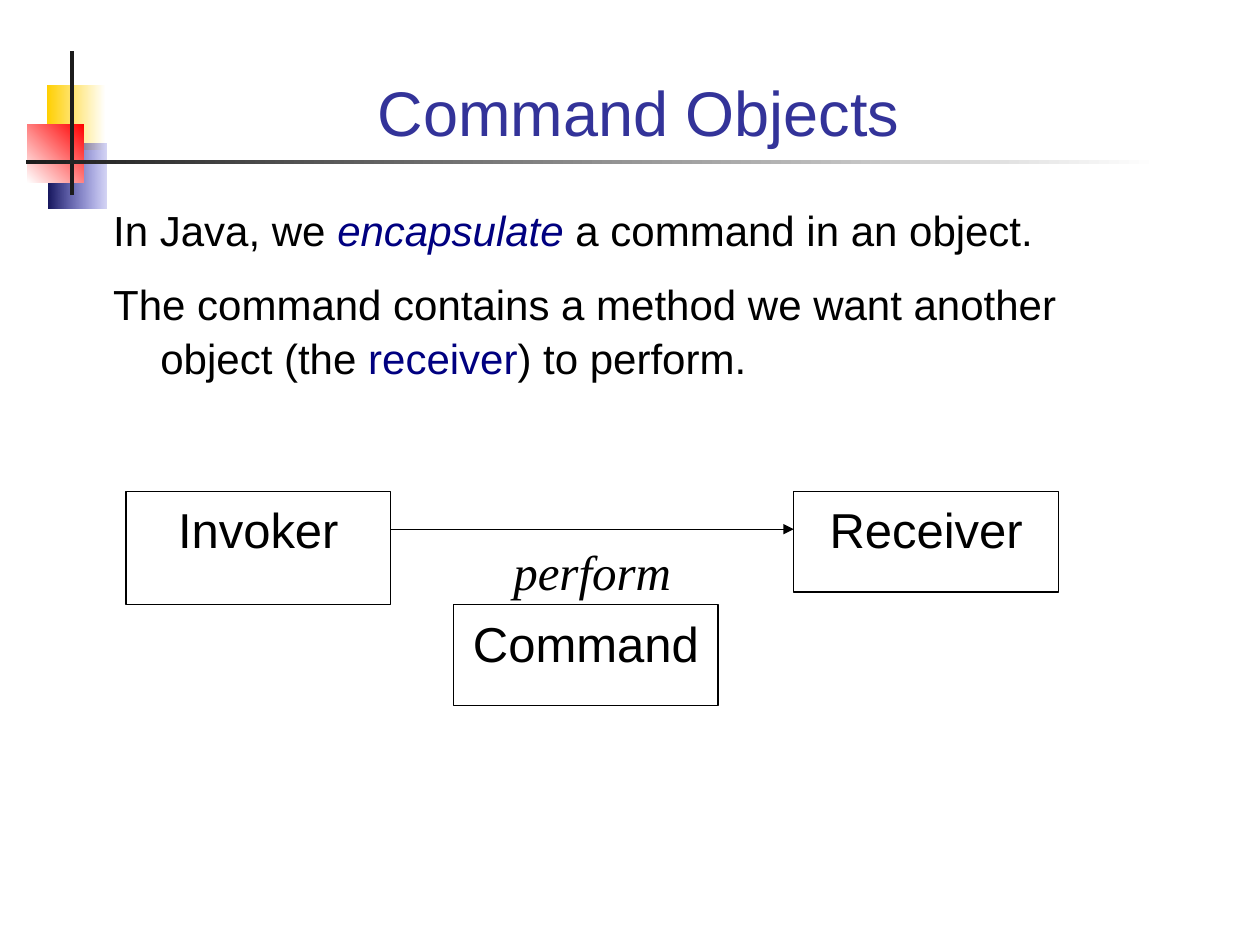
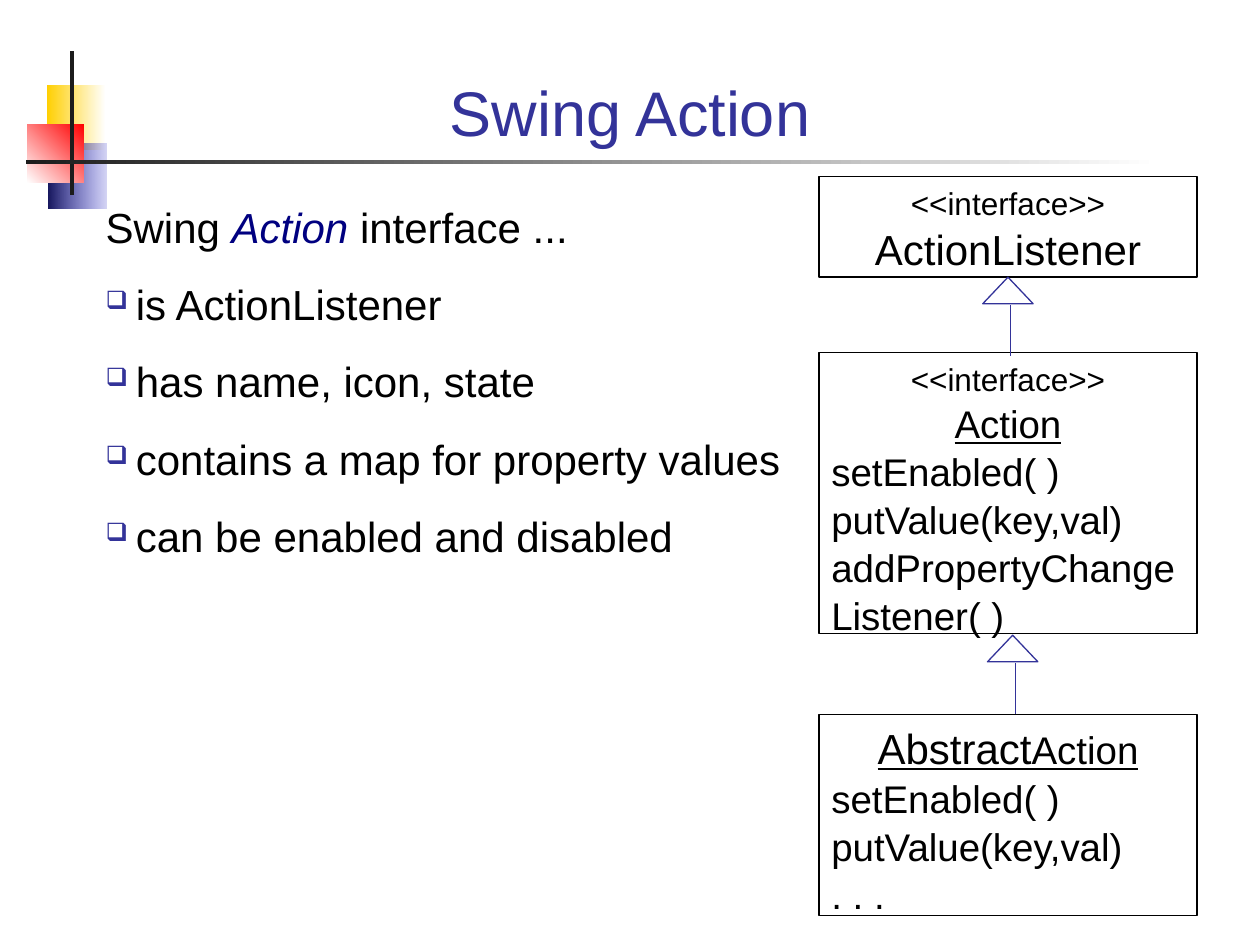
"""Build two slides about command objects and the Swing Action interface."""
from lxml.etree import SubElement
from pptx import Presentation
from pptx.dml.color import RGBColor
from pptx.enum.shapes import MSO_CONNECTOR as Connector, MSO_SHAPE as Shape
from pptx.enum.text import MSO_ANCHOR as Anchor, PP_ALIGN as Align
from pptx.oxml.ns import qn
from pptx.util import Pt

BLACK = RGBColor(0x00, 0x00, 0x00)
WHITE = RGBColor(0xFF, 0xFF, 0xFF)
INDIGO = RGBColor(0x33, 0x33, 0x99)
NAVY = RGBColor(0x00, 0x00, 0x80)
CHARCOAL = RGBColor(0x1C, 0x1C, 0x1C)
YELLOW = RGBColor(0xFF, 0xCF, 0x01)
RED = RGBColor(0xFF, 0x00, 0x00)
BLUE = RGBColor(0x33, 0x33, 0xCC)
DARK_BLUE = RGBColor(0x17, 0x17, 0x5E)

TITLE_AREA = (48, 20, 624, 68.5)
LINE_SPACING = 1.04
BULLET = "❑"

ORNAMENTS = [
    ((26.8, 48.4, 33.6, 37.4), (WHITE, YELLOW), 180, 100),
    ((28, 82, 33, 37.4), (BLUE, DARK_BLUE), 180, 20),
    ((15.6, 71, 32.4, 33.4), (RED, WHITE), 225, 100),
    ((40.1, 29, 2.3, 82.6), (CHARCOAL, CHARCOAL), 0, 100),
    ((15, 91.3, 647, 2.3), (WHITE, CHARCOAL), 180, 100),
]

COMMAND_TITLE = " Command Objects"
COMMAND_AREA = (57.6, 111.6, 623.5, 133)
COMMAND_BODY = [
    ["In Java, we ", ("encapsulate", {"color": NAVY, "italic": True}),
     " a command in an object."],
    ["The command contains a method we want another object (the ",
     ("receiver", {"color": NAVY}), ") to perform."],
]
ROLE_BOXES = [
    ("Invoker", (72, 280.8, 151.2, 64.8)),
    ("Receiver", (453.6, 280.8, 151.2, 57.6)),
    ("Command", (259.2, 345.6, 151.2, 57.6)),
]
PERFORM_ARROW = (223.2, 302.4, 453.6, 302.4)
PERFORM_AREA = (252, 304.6, 172.8, 41)

ACTION_TITLE = "Swing Action"
ACTION_AREA = (53.3, 110.2, 623.5, 271.4)
ACTION_INTRO = ["Swing ", ("Action", {"color": NAVY, "italic": True}), " interface ..."]
ACTION_POINTS = [
    "is ActionListener",
    "has name, icon, state",
    "contains a map for property values",
    "can be enabled and disabled",
]
CLASS_LEFT, CLASS_WIDTH = 468, 216
INTERFACE = ("<<interface>>", {"size": 18})
CLASS_BOXES = [
    (100.8, 57.6, [[INTERFACE], [("ActionListener", {"size": 24})]], []),
    (201.6, 160.6, [[INTERFACE], [("Action", {"underline": True})]],
     ["setEnabled( )", "putValue(key,val)", "addPropertyChangeListener( )"]),
    (408.2, 115.2, [[("Abstract", {"size": 24, "underline": True}),
                     ("Action", {"underline": True})]],
     ["setEnabled( )", "putValue(key,val)", ". . ."]),
]
INHERITANCE_ARROWS = [(561.6, 158.4), (564.3, 363)]


def points(values):
    return [Pt(value) for value in values]


def add_paragraph(shape, runs, size=24, font="Arial", color=BLACK, italic=False,
                  align=Align.LEFT, spacing=LINE_SPACING, before=0, after=0,
                  margin=0, indent=0, bullet=None):
    frame = shape.text_frame
    paragraph = frame.paragraphs[0]
    if paragraph.runs:
        paragraph = frame.add_paragraph()
        paragraph.space_before = Pt(before)
    properties = paragraph._p.get_or_add_pPr()
    properties.set("marL", str(Pt(margin)))
    properties.set("indent", str(Pt(indent)))
    if bullet:
        bullet_color = SubElement(properties, qn("a:buClr"))
        SubElement(bullet_color, qn("a:srgbClr"), val=str(INDIGO))
        SubElement(properties, qn("a:buSzPct"), val="60000")
        SubElement(properties, qn("a:buChar"), char=bullet)
    paragraph.alignment = align
    paragraph.line_spacing = spacing
    paragraph.space_after = Pt(after)
    for item in [runs] if isinstance(runs, str) else runs:
        text, style = (item, {}) if isinstance(item, str) else item
        run = paragraph.add_run()
        run.text = text
        run.font.name = font
        run.font.size = Pt(style.get("size", size))
        run.font.color.rgb = style.get("color", color)
        run.font.italic = style.get("italic", italic)
        run.font.underline = style.get("underline", False)


def add_text_area(slide, area, anchor=Anchor.TOP):
    shape = slide.shapes.add_textbox(*points(area))
    shape.text_frame.word_wrap = True
    shape.text_frame.vertical_anchor = anchor
    return shape


def add_outlined(slide, kind, area, color=BLACK, fill=None):
    shape = slide.shapes.add_shape(kind, *points(area))
    shape.shadow.inherit = False
    if fill is None:
        shape.fill.background()
    else:
        shape.fill.solid()
        shape.fill.fore_color.rgb = fill
    shape.line.color.rgb = color
    shape.line.width = Pt(0.75)
    shape.text_frame.word_wrap = True
    shape.text_frame.vertical_anchor = Anchor.TOP
    return shape


def add_line(slide, ends, color=BLACK, arrow=False):
    connector = slide.shapes.add_connector(Connector.STRAIGHT, *points(ends))
    connector.line.color.rgb = color
    connector.line.width = Pt(0.75)
    if arrow:
        SubElement(connector.line._get_or_add_ln(), qn("a:tailEnd"), type="triangle")
    SubElement(connector._element.spPr, qn("a:effectLst"))


def add_ornament(slide, area, colors, angle, opacity):
    shape = slide.shapes.add_shape(Shape.RECTANGLE, *points(area))
    shape.shadow.inherit = False
    shape.line.fill.background()
    shape.fill.gradient()
    shape.fill.gradient_angle = angle
    for stop, color in zip(shape.fill.gradient_stops, colors):
        stop.color.rgb = color
    if opacity < 100:
        first_color = next(shape._element.spPr.iter(qn("a:srgbClr")))
        SubElement(first_color, qn("a:alpha"), val=str(opacity * 1000))


def add_titled_slide(presentation, title):
    slide = presentation.slides.add_slide(presentation.slide_layouts[6])
    for ornament in ORNAMENTS:
        add_ornament(slide, *ornament)
    area = add_text_area(slide, TITLE_AREA, Anchor.BOTTOM)
    add_paragraph(area, title, size=36, color=INDIGO, align=Align.CENTER, spacing=1)
    return slide


def build_command_slide(presentation):
    slide = add_titled_slide(presentation, COMMAND_TITLE)
    body = add_text_area(slide, COMMAND_AREA)
    for runs in COMMAND_BODY:
        add_paragraph(body, runs, spacing=1.07, before=6, after=5,
                      margin=27, indent=-27)
    for name, area in ROLE_BOXES:
        box = add_outlined(slide, Shape.RECTANGLE, area)
        add_paragraph(box, name, size=28, align=Align.CENTER)
    add_line(slide, PERFORM_ARROW, arrow=True)
    label = add_text_area(slide, PERFORM_AREA)
    add_paragraph(label, "perform", size=28, font="Times New Roman", italic=True,
                  align=Align.CENTER)


def build_action_slide(presentation):
    slide = add_titled_slide(presentation, ACTION_TITLE)
    body = add_text_area(slide, ACTION_AREA)
    add_paragraph(body, ACTION_INTRO)
    for point in ACTION_POINTS:
        add_paragraph(body, point, before=14.3, margin=17.3, indent=-17.3,
                      bullet=BULLET)
    for top, height, headings, methods in CLASS_BOXES:
        box = add_outlined(slide, Shape.RECTANGLE,
                           (CLASS_LEFT, top, CLASS_WIDTH, height))
        for heading in headings:
            add_paragraph(box, heading, size=22, align=Align.CENTER)
        for method in methods:
            add_paragraph(box, method, size=22)
    for left, top in INHERITANCE_ARROWS:
        add_outlined(slide, Shape.ISOSCELES_TRIANGLE, (left, top, 28.8, 15.2),
                     color=INDIGO, fill=WHITE)
        stem = left + 15.9
        add_line(slide, (stem, top + 16, stem, top + 45), color=INDIGO)


def main():
    presentation = Presentation()
    presentation.slide_width, presentation.slide_height = Pt(720), Pt(540)
    build_command_slide(presentation)
    build_action_slide(presentation)
    presentation.save("out.pptx")


if __name__ == "__main__":
    main()
